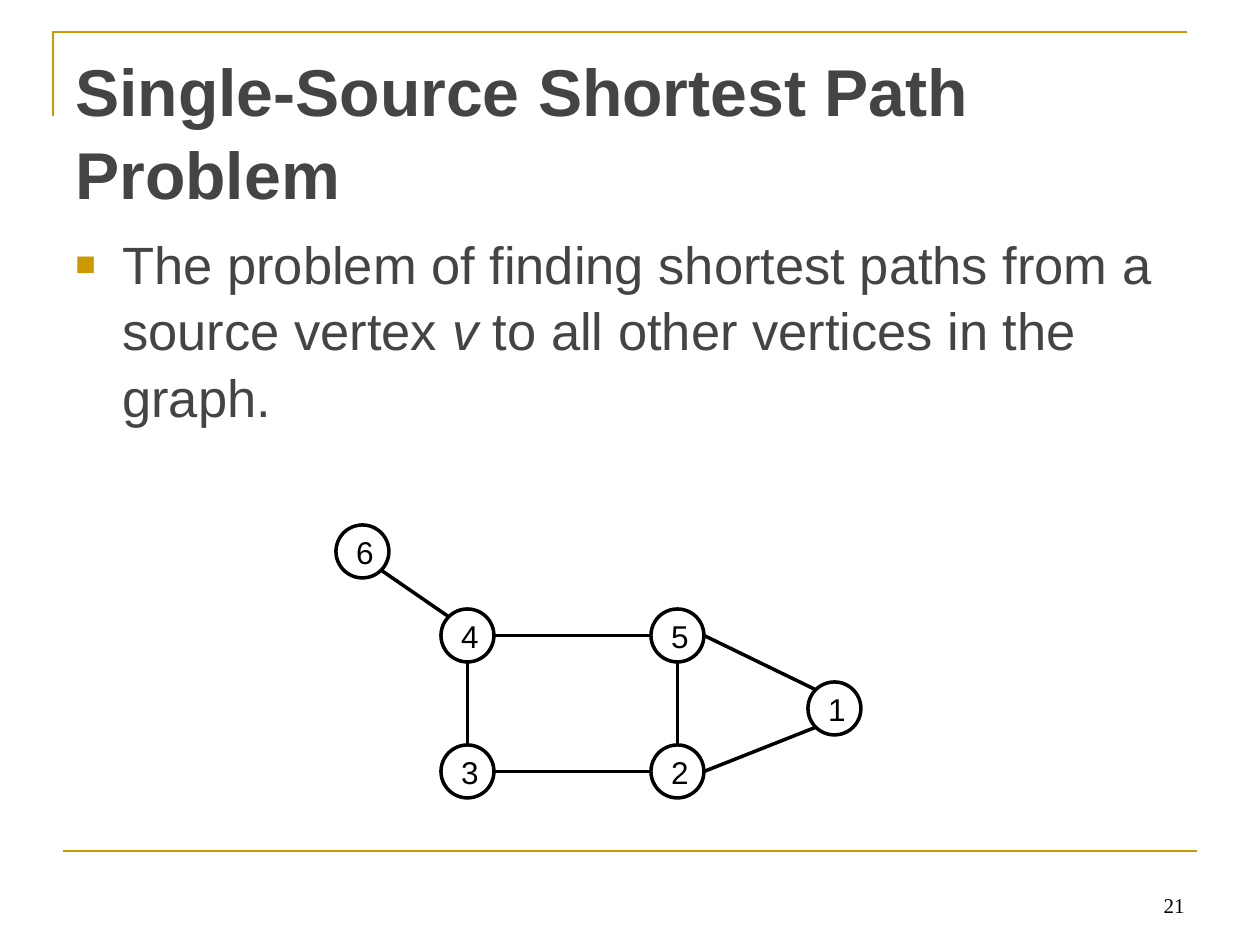
"""Build the single-source shortest path slide."""
import math
from typing import NamedTuple

import lxml.etree
import pptx
import pptx.dml.color
import pptx.enum.shapes
import pptx.enum.text
import pptx.oxml.ns
import pptx.util

RGB = pptx.dml.color.RGBColor
ALIGN = pptx.enum.text.PP_ALIGN
ANCHOR = pptx.enum.text.MSO_ANCHOR
SHAPE = pptx.enum.shapes.MSO_SHAPE
LINK = pptx.enum.shapes.MSO_CONNECTOR
qn = pptx.oxml.ns.qn

GOLD = RGB(0xCC, 0x99, 0x00)
GRAY = RGB(0x44, 0x44, 0x44)
BLACK = RGB(0, 0, 0)
WHITE = RGB(255, 255, 255)
SCALE = 914400 / 126
SIZE = 53
LEFT, MID = 441, 651
UPPER, LOWER = 609, 745


class Node(NamedTuple):
    name: str
    x: int
    y: int


class Edge(NamedTuple):
    start: str
    out: int
    end: str
    into: int


class Label(NamedTuple):
    x: int
    y: int
    w: int
    h: int
    runs: tuple[str, ...]
    font: str
    size: float
    color: RGB


NODES = (
    Node("6", 336, 525),
    Node("4", LEFT, UPPER),
    Node("3", LEFT, LOWER),
    Node("5", MID, UPPER),
    Node("2", MID, LOWER),
    Node("1", 808, 682),
)
EDGES = (
    Edge("6", 45, "4", 225),
    Edge("4", 0, "5", 180),
    Edge("5", 90, "2", 270),
    Edge("4", 90, "3", 270),
    Edge("3", 0, "2", 180),
    Edge("5", 0, "1", 225),
    Edge("2", 0, "1", 135),
)
TITLE = Label(63, 40, 1134, 157, ("Single-Source Shortest Path Problem",),
              "Arial", 37.8, GRAY)
BODY = Label(63, 223, 1134, 621,
             ("The problem of finding shortest paths from a source vertex ",
              "v", " to all other vertices in the graph."),
             "Arial", 30, GRAY)
PAGE = Label(903, 861, 294, 63, ("21",), "Times New Roman", 12, BLACK)


def px(length: float) -> int:
    """Turn pixels into EMU."""
    return round(length * SCALE)


def style(run, font: str, size: float, color: RGB) -> None:
    """Format one run."""
    run.font.name = font
    run.font.size = pptx.util.Pt(size)
    run.font.color.rgb = color


def stroke(shape, color: RGB, width: float) -> None:
    """Set the line of a shape."""
    shape.line.color.rgb = color
    shape.line.width = pptx.util.Pt(width)


def write(shapes, label: Label):
    """Add a text box and return its frame."""
    box = shapes.add_textbox(*map(px, label[:4]))
    frame = box.text_frame
    frame.word_wrap = True
    for text in label.runs:
        run = frame.paragraphs[0].add_run()
        run.text = text
        style(run, label.font, label.size, label.color)
    return frame


def bullet(para) -> None:
    """Give a paragraph a hanging square bullet."""
    props = para._p.get_or_add_pPr()
    props.set("marL", str(px(47)))
    props.set("indent", str(px(-47)))
    tint = lxml.etree.SubElement(props, qn("a:buClr"))
    lxml.etree.SubElement(tint, qn("a:srgbClr"), val=str(GOLD))
    lxml.etree.SubElement(props, qn("a:buSzPct"), val="65000")
    lxml.etree.SubElement(props, qn("a:buFont"), typeface="Arial")
    lxml.etree.SubElement(props, qn("a:buChar"), char="■")


def join(shapes, start, end, color: RGB, width: float) -> None:
    """Draw a straight line between two points."""
    line = shapes.add_connector(LINK.STRAIGHT, *map(px, (*start, *end)))
    stroke(line, color, width)
    lxml.etree.SubElement(line._element.spPr, qn("a:effectLst"))


def rim(node: Node, angle: int) -> tuple[float, float]:
    """Find the point of a node's rim at an angle."""
    turn = math.radians(angle)
    half = SIZE / 2
    return (node.x + half * (1 + math.cos(turn)),
            node.y + half * (1 + math.sin(turn)))


def circle(shapes, node: Node) -> None:
    """Draw a numbered node."""
    disc = shapes.add_shape(SHAPE.OVAL, *map(px, (node.x, node.y, SIZE, SIZE)))
    disc.shadow.inherit = False
    disc.fill.solid()
    disc.fill.fore_color.rgb = WHITE
    stroke(disc, BLACK, 2)
    frame = disc.text_frame
    frame.text = node.name
    frame.word_wrap = True
    frame.vertical_anchor = ANCHOR.MIDDLE
    para = frame.paragraphs[0]
    para.alignment = ALIGN.CENTER
    style(para.runs[0], "Arial", 18, BLACK)


def frame_top(shapes) -> None:
    """Draw the corner rule around the title."""
    path = shapes.build_freeform(px(53), px(116))
    path.add_line_segments([(px(53), px(32)), (px(1187), px(32))], close=False)
    rule = path.convert_to_shape()
    rule.shadow.inherit = False
    rule.fill.background()
    stroke(rule, GOLD, 1.5)


def main() -> None:
    """Build and save the slide."""
    deck = pptx.Presentation()
    deck.slide_width, deck.slide_height = px(1260), px(945)
    shapes = deck.slides.add_slide(deck.slide_layouts[6]).shapes

    frame_top(shapes)
    join(shapes, (63, 851), (1197, 851), GOLD, 1.5)

    title = write(shapes, TITLE).paragraphs[0]
    title.line_spacing = 1.05
    title.runs[0].font.bold = True

    body = write(shapes, BODY).paragraphs[0]
    bullet(body)
    body.line_spacing = 1.05
    body.runs[1].font.italic = True

    for node in NODES:
        circle(shapes, node)
    graph = {node.name: node for node in NODES}
    for edge in EDGES:
        join(shapes, rim(graph[edge.start], edge.out),
             rim(graph[edge.end], edge.into), BLACK, 2)

    page = write(shapes, PAGE)
    page.vertical_anchor = ANCHOR.BOTTOM
    page.paragraphs[0].alignment = ALIGN.RIGHT
    deck.save("out.pptx")


if __name__ == "__main__":
    main()
